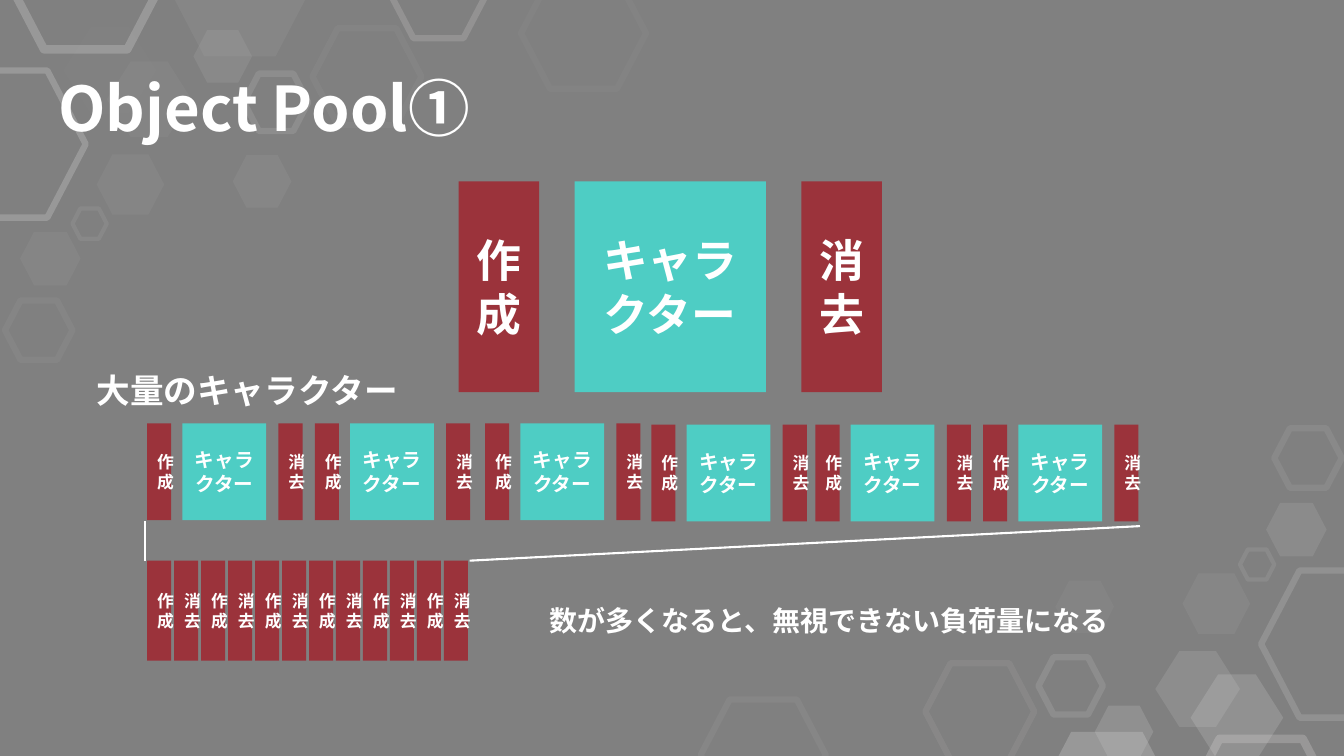
import pptx
import pptx.util
import pptx.dml.color
import pptx.enum.shapes
import pptx.enum.text
import pptx.oxml.ns
import lxml.etree

Pt = pptx.util.Pt
RGB = pptx.dml.color.RGBColor
Kind = pptx.enum.shapes.MSO_SHAPE
Align = pptx.enum.text.PP_ALIGN
Anchor = pptx.enum.text.MSO_ANCHOR
Fit = pptx.enum.text.MSO_AUTO_SIZE
qn = pptx.oxml.ns.qn

FONT = "Noto Sans CJK JP"
WHITE = RGB(0xFF, 0xFF, 0xFF)
GREY = RGB(0x80, 0x80, 0x80)
TEAL = RGB(0x4E, 0xCD, 0xC4)
RED = RGB(0x9B, 0x33, 0x3B)
DIM = RGB(0xD0, 0xCE, 0xCE)
PALE = RGB(0xD9, 0xD9, 0xD9)
SOFT = RGB(0xE7, 0xE6, 0xE6)
LIGHT = RGB(0xF2, 0xF2, 0xF2)

# Content: text, left, top, width, height, size
TITLE = ("Object Pool①", 34.6, 46.1, 326.9, 60.5, 44)
NOTES = [
    ("大量のキャラクター", 61.9, 260.6, 232.6, 36, 24),
    ("数が多くなると、無視できない負荷量になる", 385.2, 427.7, 418.3, 31.7, 20),
]
MAKE, ROLE, DROP = "作成", "キャラクター", "消去"

# Groups of three: bar width, role width, role offset, drop offset, height, sizes
BIG = (57.6, 136.8, 82.8, 244.8, 150.5, 32, 32)
SMALL = (17.2, 59.8, 25.2, 93.8, 69.1, 12, 14)
GROUPS = [
    (327.6, 129.6, BIG),
    (105.1, 302.4, SMALL), (224.9, 302.4, SMALL), (346.5, 302.4, SMALL),
    (465.3, 303.4, SMALL), (582.5, 303.4, SMALL), (702.2, 303.4, SMALL),
]
PAIRS, STEP = 6, 19.27
ROW = (105.1, 400.5, 17.2, 71.4)
LINES = [(103.7, 372.2, 103.7, 400.5), (814.3, 375.8, 335.5, 400.5)]

# Hexagons: left, top, width, height, corner, colour, outline (0 = filled),
# opacity in the upper left, opacity in the lower right (0 = absent)
HEXES = [
    (174.2, 52.6, 46, 41, .261, DIM, 4.5, 16, 16),
    (3.6, 214.6, 48.2, 42.5, .261, PALE, 4.5, 5, 10),
    (223.2, 20.2, 77.8, 69.1, .261, DIM, 4.5, 6, 10),
    (7.2, -57.6, 108, 92.9, .261, DIM, 6, 31, 30),
    (51.8, 149, 24.5, 21.6, .261, SOFT, 3, 8, 10),
    (76.3, 43.9, 60.5, 54, .317, PALE, 0, 5, 15),
    (138.2, 21.6, 41.8, 37.4, .261, PALE, 0, 11, 18),
    (121.7, -52.6, 99.4, 92.9, .261, PALE, 0, 7, 27),
    (-61.2, 50.4, 122.4, 105.1, .261, PALE, 4.5, 28, 20),
    (280.1, -31, 66.2, 58.3, .261, DIM, 4.5, 24, 0),
    (45.4, 19.4, 66.2, 61.9, .317, PALE, 0, 2, 20),
    (166.3, 110.9, 41.8, 37.4, .261, PALE, 0, 8, 5),
    (69.1, 110.2, 48.2, 43.2, .261, PALE, 0, 6, 8),
    (372.2, -15.8, 89.3, 79.2, .261, DIM, 4.5, 3, 8),
    (14.4, 165.6, 43.2, 38.2, .261, LIGHT, 0, 5, 10),
]
TURN = (962, 563)  # sum of the opposite edges of a hexagon and its turned twin


def write(shape, text, size, align):
    para = shape.text_frame.paragraphs[0]
    para.text = text
    para.alignment = align
    for run in para.runs:
        font = run.font
        font.size, font.bold = Pt(size), True
        font.color.rgb = WHITE
        font.name = FONT
        east = lxml.etree.SubElement(run._r.get_or_add_rPr(), qn("a:ea"))
        east.set("typeface", FONT)


def label(shape, text, size):
    frame = shape.text_frame
    frame.word_wrap = False
    frame.auto_size = Fit.SHAPE_TO_FIT_TEXT
    frame.vertical_anchor = Anchor.TOP
    write(shape, text, size, Align.LEFT)


def block(text, x, y, w, h, color, size):
    box = shapes.add_shape(Kind.RECTANGLE, Pt(x), Pt(y), Pt(w), Pt(h))
    box.shadow.inherit = False
    box.fill.solid()
    box.fill.fore_color.rgb = color
    box.line.fill.background()
    box.text_frame.vertical_anchor = Anchor.MIDDLE
    write(box, text, size, Align.CENTER)


def hexagon(x, y, w, h, corner, color, width, alpha, angle):
    cell = shapes.add_shape(Kind.HEXAGON, Pt(x), Pt(y), Pt(w), Pt(h))
    cell.shadow.inherit = False
    cell.adjustments[0] = corner
    cell.rotation = angle
    if width:
        cell.fill.background()
        cell.line.width = Pt(width)
        cell.line.color.rgb = color
    else:
        cell.fill.solid()
        cell.fill.fore_color.rgb = color
        cell.line.fill.background()
    for tint in cell.element.spPr.iter(qn("a:srgbClr")):
        lxml.etree.SubElement(tint, qn("a:alpha")).set("val", str(alpha * 1000))


deck = pptx.Presentation()
deck.slide_width, deck.slide_height = Pt(960), Pt(540)
slide = deck.slides.add_slide(deck.slide_layouts[5])
shapes = slide.shapes
slide.background.fill.solid()
slide.background.fill.fore_color.rgb = GREY

# Hexagon backdrop, the lower right being the upper left turned by half
for x, y, w, h, corner, color, width, near, far in HEXES:
    hexagon(x, y, w, h, corner, color, width, near, 0)
    if far:
        hexagon(TURN[0] - x - w, TURN[1] - y - h, w, h, corner, color, width, far, 180)

# Title, in front of the backdrop
text, x, y, w, h, size = TITLE
title = shapes.title
title.left, title.top, title.width, title.height = Pt(x), Pt(y), Pt(w), Pt(h)
label(title, text, size)
shapes.element.append(title.element)

# Make, role and drop groups
for x, y, (bar, wide, mid, end, high, small, large) in GROUPS:
    block(ROLE, x + mid, y, wide, high, TEAL, large)
    block(MAKE, x, y, bar, high, RED, small)
    block(DROP, x + end, y, bar, high, RED, small)

# Packed row of make and drop bars
x, y, w, h = ROW
for i, text in enumerate([MAKE, DROP] * PAIRS):
    block(text, x + i * STEP, y, w, h, RED, 12)

# Lines from the groups to the packed row
for ends in LINES:
    line = shapes.add_connector(
        pptx.enum.shapes.MSO_CONNECTOR.STRAIGHT, *[Pt(v) for v in ends])
    line.line.color.rgb = WHITE
    line.line.width = Pt(1.5)
    lxml.etree.SubElement(line.element.spPr, qn("a:effectLst"))

# Notes
for text, x, y, w, h, size in NOTES:
    label(shapes.add_textbox(Pt(x), Pt(y), Pt(w), Pt(h)), text, size)

deck.save("out.pptx")
